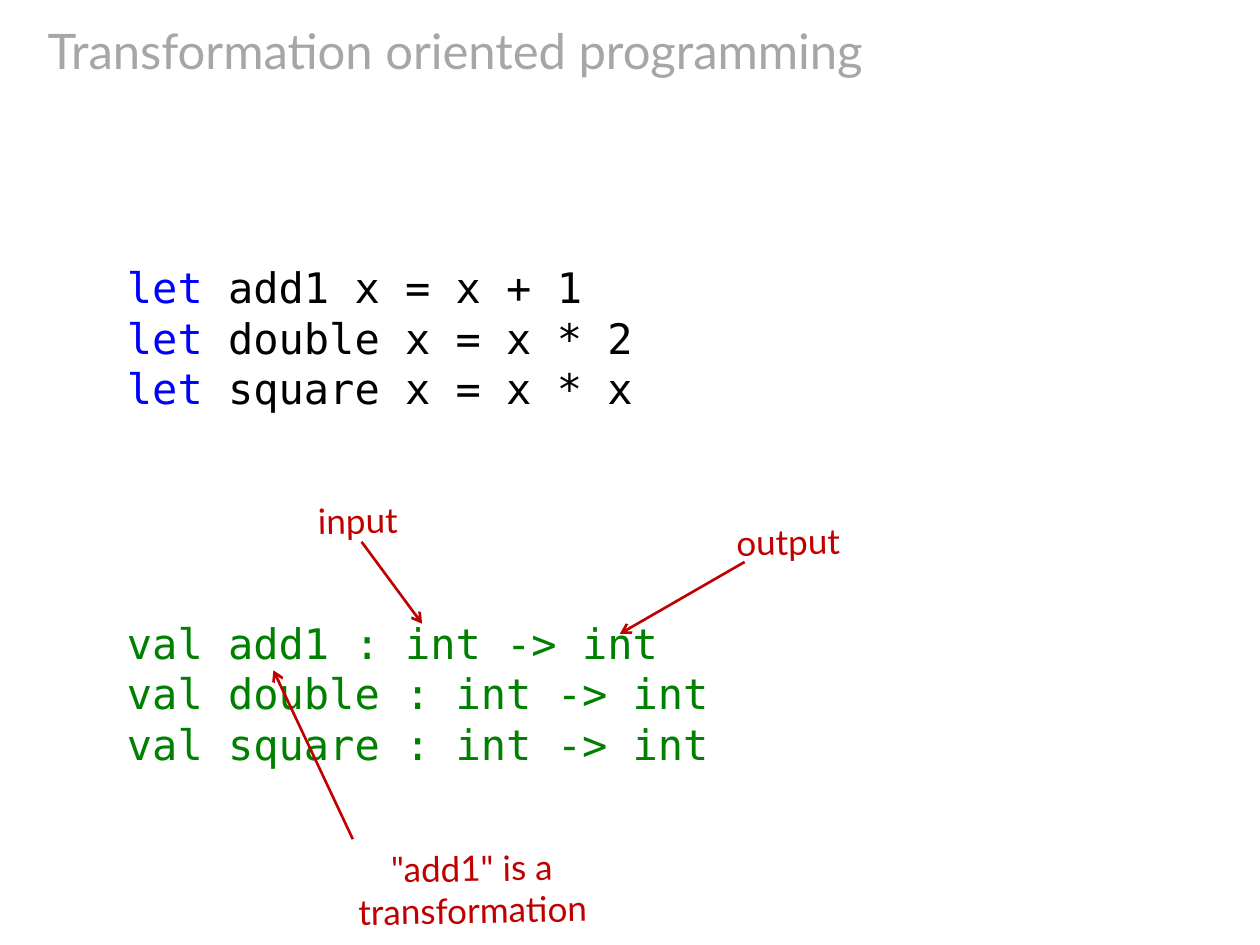
"""Build the slide on transformation oriented programming."""
from dataclasses import dataclass

from lxml.etree import SubElement
from pptx import Presentation
from pptx.dml.color import RGBColor
from pptx.enum.shapes import MSO_CONNECTOR as Conn
from pptx.enum.text import MSO_ANCHOR as Anchor, MSO_AUTO_SIZE as Fit, PP_ALIGN as Align
from pptx.oxml.ns import qn
from pptx.util import Inches, Pt


@dataclass(frozen=True)
class Theme:
    body: str = "Lato"
    mono: str = "DejaVu Sans Mono"
    title: str = "A6A6A6"
    keyword: str = "0000FF"
    code: str = "000000"
    signature: str = "008000"
    note: str = "C00000"
    title_pt: int = 28
    code_pt: int = 24
    note_pt: int = 20
    line_pt: float = 1.5


@dataclass(frozen=True)
class Note:
    text: str
    box: tuple[float, float, float, float]
    start: tuple[float, float]
    end: tuple[float, float]


T = Theme()
FUNCTIONS = {"add1": "x + 1", "double": "x * 2", "square": "x * x"}
NOTES = [
    Note("input", (2.41, 3.91, 0.86, 0.44), (2.87, 4.3), (3.35, 4.95)),
    Note("output", (5.55, 4.08, 1.41, 0.44), (5.91, 4.46), (4.92, 5.03)),
    Note('"add1" is a transformation', (2.25, 6.67, 2.99, 0.44), (2.8, 6.66), (2.17, 5.32)),
]


def add_text(s, lines: list[list[tuple[str, str]]], box: tuple[float, float, float, float], *,
             font: str, size: int, align=Align.LEFT, anchor=Anchor.TOP,
             fit=Fit.SHAPE_TO_FIT_TEXT, rotation: float = 0) -> None:
    """Add a text box whose lines are lists of (text, colour) runs."""
    sp = s.shapes.add_textbox(*map(Inches, box))
    sp.rotation = rotation
    tf = sp.text_frame
    tf.word_wrap, tf.auto_size, tf.vertical_anchor = True, fit, anchor
    for i, runs in enumerate(lines):
        p = tf.add_paragraph() if i else tf.paragraphs[0]
        p.alignment = align
        for text, color in runs:
            r = p.add_run()
            r.text = text
            r.font.name, r.font.size = font, Pt(size)
            r.font.color.rgb = RGBColor.from_string(color)


def add_arrow(s, start: tuple[float, float], end: tuple[float, float]) -> None:
    """Draw an open-headed arrow from start to end."""
    line = s.shapes.add_connector(Conn.STRAIGHT, *map(Inches, start + end))
    line.line.color.rgb = RGBColor.from_string(T.note)
    line.line.width = Pt(T.line_pt)
    SubElement(line.line._get_or_add_ln(), qn("a:tailEnd"), type="arrow")
    SubElement(line._element.spPr, qn("a:effectLst"))


def build() -> None:
    """Build and save the slide."""
    prs = Presentation()
    prs.slide_width, prs.slide_height = Inches(10), Inches(7.5)
    s = prs.slides.add_slide(prs.slide_layouts[6])
    add_text(s, [[("Transformation oriented programming", T.title)]], (0.28, 0.13, 9.45, 0.54),
             font=T.body, size=T.title_pt, anchor=Anchor.MIDDLE, fit=Fit.NONE)
    definitions = [[("let", T.keyword), (f" {name} x = {expr}", T.code)]
                   for name, expr in FUNCTIONS.items()]
    signatures = [[(f"val {name} : int -> int", T.signature)] for name in FUNCTIONS]
    add_text(s, definitions, (0.91, 2.03, 7.56, 1.31), font=T.mono, size=T.code_pt)
    add_text(s, signatures, (0.91, 4.85, 9.37, 1.31), font=T.mono, size=T.code_pt)
    for note in NOTES:
        add_text(s, [[(note.text, T.note)]], note.box, font=T.body, size=T.note_pt,
                 align=Align.CENTER, rotation=359)
        add_arrow(s, note.start, note.end)
    prs.save("out.pptx")


build()
